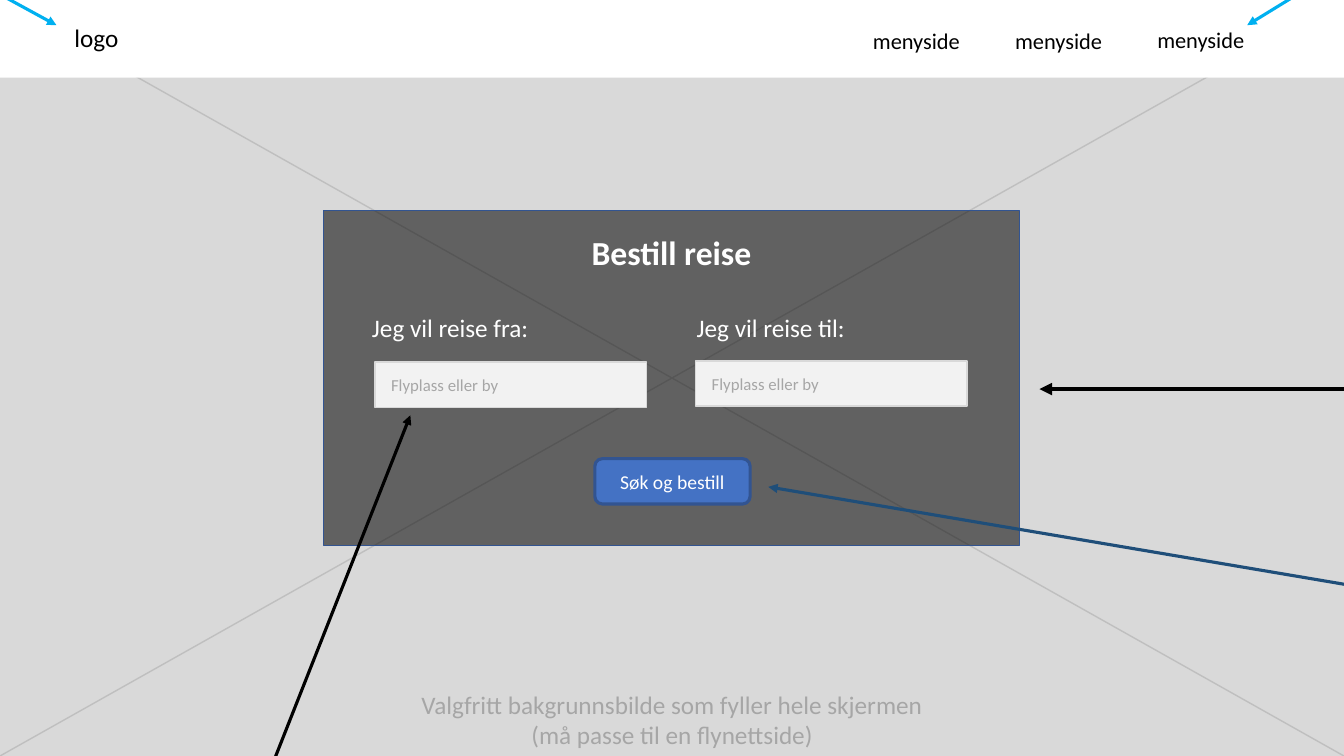
from dataclasses import dataclass

from lxml import etree
from pptx import Presentation, util as u
from pptx.dml.color import RGBColor
from pptx.enum import shapes, text
from pptx.oxml import ns


@dataclass(frozen=True)
class Theme:
    font: str = "Calibri"
    white: str = "FFFFFF"
    black: str = "000000"
    backdrop: str = "D9D9D9"
    cross: str = "BFBFBF"
    muted: str = "A6A6A6"
    field: str = "F2F2F2"
    button: str = "4472C4"
    border: str = "325491"
    sky: str = "00B0F0"
    navy: str = "1F4E79"
    heading: int = 24
    body: int = 18
    menu: int = 16
    action: int = 14
    hint: int = 12


THEME = Theme()
RECT = shapes.MSO_SHAPE.RECTANGLE
CENTER = text.PP_ALIGN.CENTER
LEFT = text.PP_ALIGN.LEFT


def write(shape, words, size=THEME.body, color=THEME.black, align=LEFT,
          bold=False, anchor=text.MSO_ANCHOR.TOP):
    frame = shape.text_frame
    frame.text = words
    frame.word_wrap = True
    frame.auto_size = text.MSO_AUTO_SIZE.NONE
    frame.vertical_anchor = anchor
    frame.margin_left = frame.margin_right = u.Inches(0.1)
    frame.margin_top = frame.margin_bottom = u.Inches(0.05)
    line = frame.paragraphs[0]
    line.alignment = align
    font = line.runs[0].font
    font.name, font.size, font.bold = THEME.font, u.Pt(size), bold
    font.color.rgb = RGBColor.from_string(color)


def label(slide, box, words, **style):
    holder = slide.shapes.add_textbox(*map(u.Inches, box))
    write(holder, words, **style)


def block(slide, box, fill, border=None, weight=1, kind=RECT, alpha=None):
    shape = slide.shapes.add_shape(kind, *map(u.Inches, box))
    shape.shadow.inherit = False
    shape.fill.solid()
    shape.fill.fore_color.rgb = RGBColor.from_string(fill)
    if alpha is not None:
        tint = shape.element.spPr.find(".//" + ns.qn("a:srgbClr"))
        etree.SubElement(tint, ns.qn("a:alpha"), val=str(alpha * 1000))
    if border:
        shape.line.color.rgb = RGBColor.from_string(border)
        shape.line.width = u.Pt(weight)
    else:
        shape.line.fill.background()
    return shape


def stroke(slide, start, end, color, weight=1, arrow=False):
    line = slide.shapes.add_connector(
        shapes.MSO_CONNECTOR.STRAIGHT, *map(u.Inches, (*start, *end)))
    line.line.color.rgb = RGBColor.from_string(color)
    line.line.width = u.Pt(weight)
    if arrow:
        etree.SubElement(line.line._get_or_add_ln(), ns.qn("a:tailEnd"),
                         type="triangle")
    etree.SubElement(line.element.spPr, ns.qn("a:effectLst"))


def background(slide, box):
    left, top, width, height = box
    right, bottom = left + width, top + height
    block(slide, box, THEME.backdrop)
    label(slide, (left + 4.07, bottom - 0.71, 5.19, 0.71),
          "Valgfritt bakgrunnsbilde som fyller hele skjermen "
          "(må passe til en flynettside)", color=THEME.muted, align=CENTER)
    stroke(slide, (left, top), (right, bottom), THEME.cross)
    stroke(slide, (left, bottom), (right, top), THEME.cross)


def navigation(slide, box):
    left, top, _, _ = box
    block(slide, box, THEME.white)
    label(slide, (left + 0.64, top + 0.17, 0.79, 0.4), "logo")
    for index, drop in enumerate((0.22, 0.22, 0.21)):
        label(slide, (left + 8.56 + 1.41 * index, top + drop, 1.09, 0.37),
              "menyside", size=THEME.menu)


def search_field(slide, box, caption):
    left, top, width, height = box
    label(slide, (left - 0.25, 3.05, 1.99, 0.4), caption,
          color=THEME.white, align=CENTER)
    block(slide, (left, top, width, height), THEME.field, THEME.backdrop)
    label(slide, (left + 0.06, top + 0.08, 1.29, 0.3), "Flyplass eller by",
          size=THEME.hint, color=THEME.muted)


def booking(slide, box):
    left, top, width, _ = box
    block(slide, box, THEME.black, THEME.border, alpha=55)
    heading = slide.shapes.title
    heading.left, heading.top, heading.width, heading.height = map(
        u.Inches, (left + (width - 1.99) / 2, top + 0.16, 1.99, 0.5))
    write(heading, "Bestill reise", size=THEME.heading, color=THEME.white,
          align=CENTER, bold=True)
    heading.element.getparent().append(heading.element)

    search_field(slide, (left + 0.51, top + 1.5, 2.69, 0.45),
                 "Jeg vil reise fra:")
    search_field(slide, (left + 3.69, top + 1.49, 2.69, 0.45),
                 "Jeg vil reise til:")
    button = block(slide, (left + 2.69, top + 2.46, 1.54, 0.45),
                   THEME.button, THEME.border, 2.25,
                   shapes.MSO_SHAPE.FLOWCHART_ALTERNATE_PROCESS)
    write(button, "Søk og bestill", size=THEME.action, color=THEME.white,
          align=CENTER, anchor=text.MSO_ANCHOR.MIDDLE)


def pointers(slide, box):
    left, top, _, _ = box
    for start, end, color, weight in (
        ((13.51, -0.45), (12.37, 0.25), THEME.sky, 2.25),
        ((-0.32, -0.23), (0.56, 0.25), THEME.sky, 2.25),
        ((13.71, 3.86), (10.31, 3.86), THEME.black, 3),
        ((13.65, 5.85), (7.62, 4.83), THEME.navy, 2.25),
        ((2.51, 8.07), (4.07, 4.12), THEME.black, 2.25),
    ):
        stroke(slide, (left + start[0], top + start[1]),
               (left + end[0], top + end[1]), color, weight, arrow=True)


deck = Presentation()
deck.slide_width, deck.slide_height = u.Inches(13.33), u.Inches(7.5)
page = deck.slides.add_slide(deck.slide_layouts.get_by_name("Title Only"))
screen = (0, 0, 13.33, 7.5)
background(page, screen)
navigation(page, (0, 0, 13.33, 0.77))
booking(page, (3.21, 2.09, 6.9, 3.32))
pointers(page, screen)
deck.save("out.pptx")
